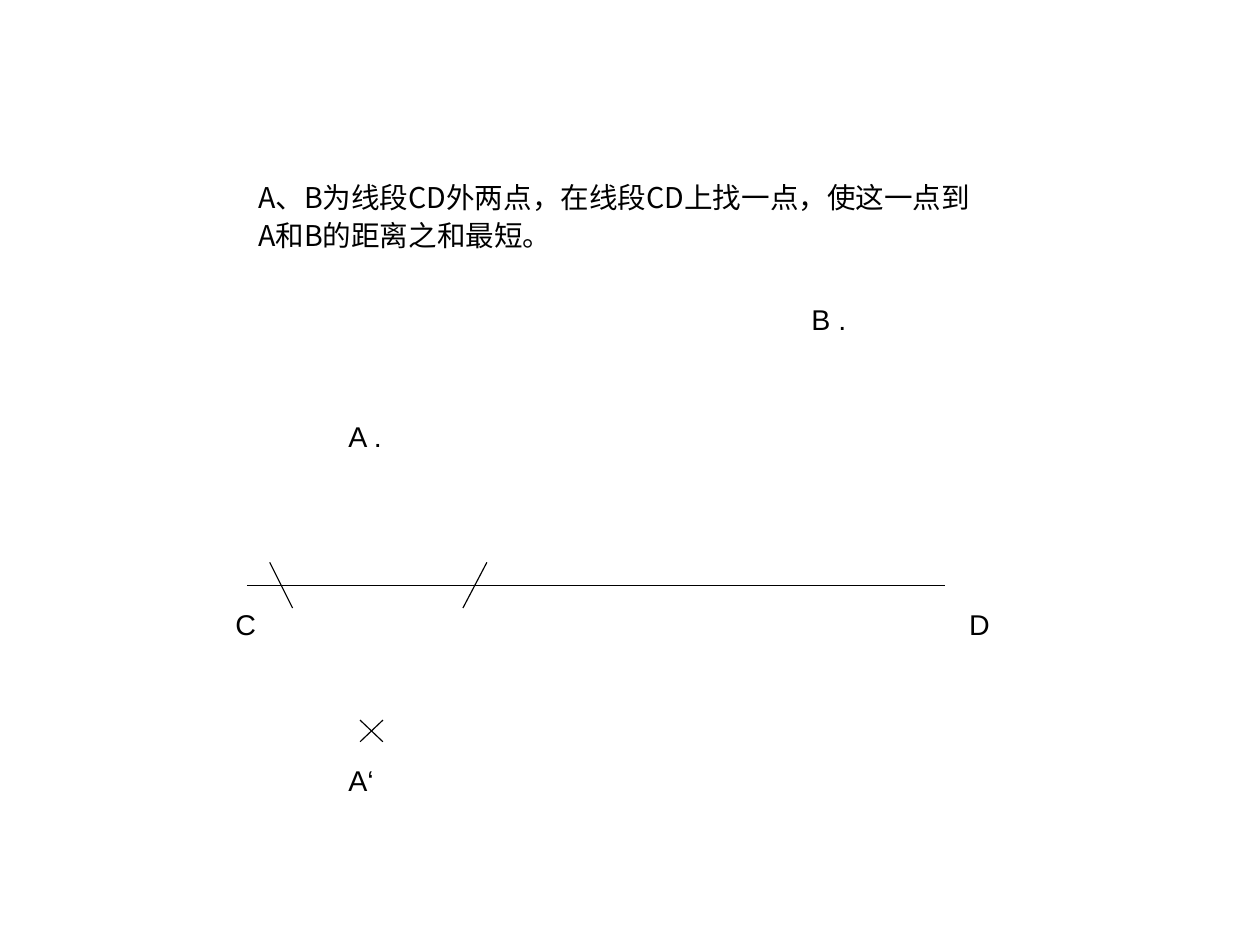
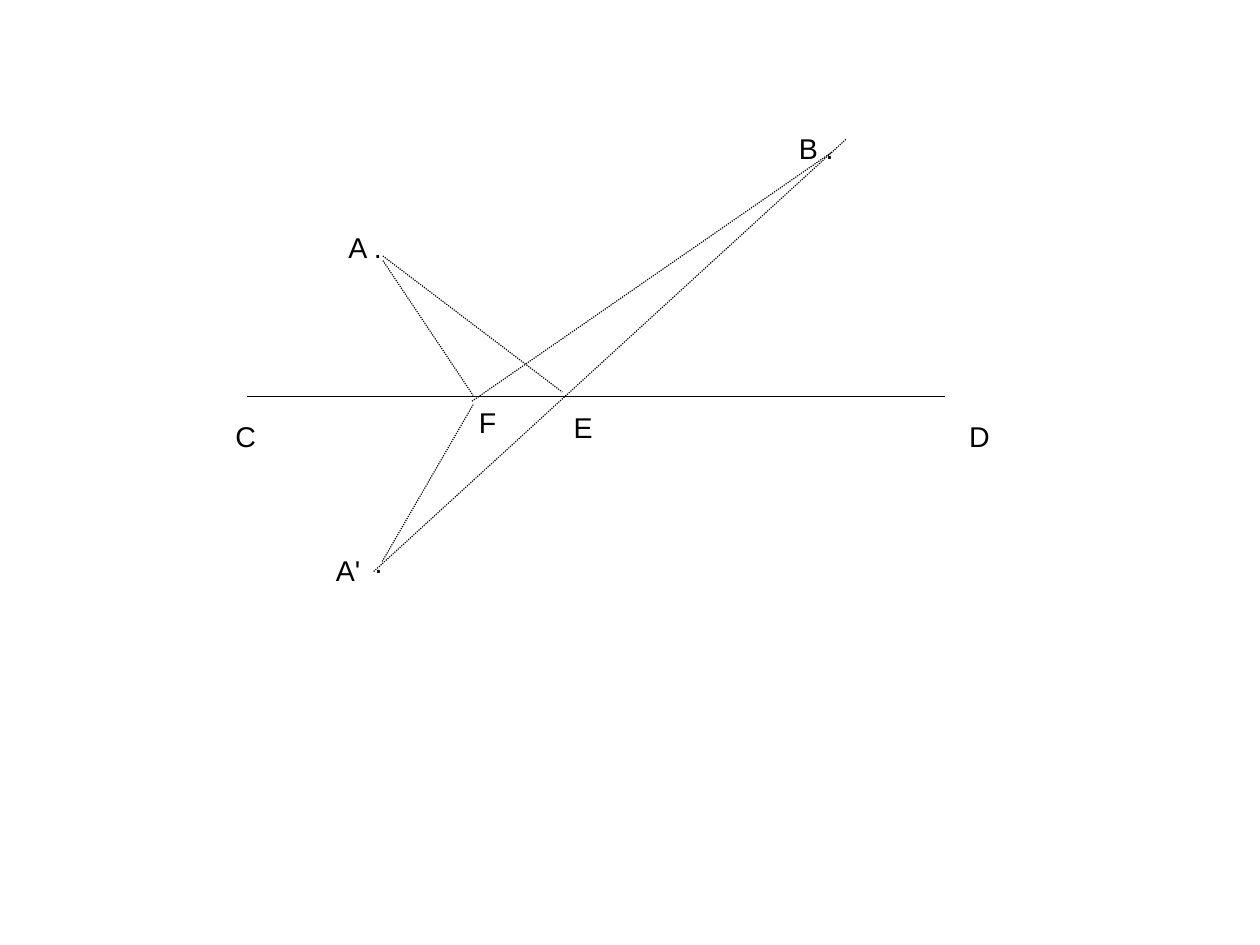
from dataclasses import dataclass

from lxml import etree
from pptx import Presentation
from pptx.dml.color import RGBColor
from pptx.enum import dml, shapes, text
from pptx.oxml import ns
from pptx.util import Inches, Pt


@dataclass(frozen=True)
class Theme:
    ink: RGBColor = RGBColor(0, 0, 0)
    label_font: str = "Arial"
    statement_font: str = "Noto Sans CJK SC"
    size: Pt = Pt(18)
    label_spacing: float = 0.93
    statement_spacing: Pt = Pt(24)
    line_width: Pt = Pt(0.75)


theme = Theme()


def add_text(page, lines, left, top, width, height=0.38, inset_top=0.07,
             font=theme.label_font, spacing=theme.label_spacing):
    box = page.shapes.add_textbox(Inches(left), Inches(top), Inches(width), Inches(height))
    frame = box.text_frame
    frame_format = {
        "word_wrap": False,
        "vertical_anchor": text.MSO_ANCHOR.TOP,
        "margin_left": Inches(0.1),
        "margin_right": Inches(0),
        "margin_top": Inches(inset_top),
        "margin_bottom": Inches(0.05),
    }
    for name, value in frame_format.items():
        setattr(frame, name, value)
    frame.text = "\n".join(lines)
    for para in frame.paragraphs:
        para.line_spacing = spacing
        for span in para.runs:
            for name, value in {"name": font, "size": theme.size}.items():
                setattr(span.font, name, value)
            span.font.color.rgb = theme.ink
            east_asian = etree.SubElement(span.font._element, ns.qn("a:ea"))
            east_asian.set("typeface", font)


def add_line(page, start, end, dash=None):
    line = page.shapes.add_connector(
        shapes.MSO_CONNECTOR.STRAIGHT, *[Inches(value) for value in (*start, *end)])
    line.line.color.rgb = theme.ink
    line.line.width = theme.line_width
    if dash:
        line.line.dash_style = dash
    etree.SubElement(line._element.spPr, ns.qn("a:effectLst"))


# Page of 280 by 210 millimetres
deck = Presentation()
deck.slide_width = Inches(280 / 25.4)
deck.slide_height = Inches(210 / 25.4)

# Segment CD and point A, shared by both slides
pages = []
for segment_y in (5.12, 3.47):
    page = deck.slides.add_slide(deck.slide_layouts[6])
    add_line(page, (2.16, segment_y), (8.27, segment_y))
    for label, left, offset, width in (("C", 1.96, 0.15, 0.38),
                                       ("D", 8.38, 0.15, 0.38),
                                       ("A .", 2.95, -1.5, 0.49)):
        add_text(page, [label], left, segment_y + offset, width)
    pages.append(page)
problem, solution = pages

# Problem: statement, remaining points and construction marks
add_text(problem,
         ["A、B为线段CD外两点，在线段CD上找一点，使这一点到", "A和B的距离之和最短。"],
         2.16, 1.49, 6.8, 0.74, 0.05, theme.statement_font, theme.statement_spacing)
add_text(problem, ["B ."], 7, 2.6, 0.5)
add_text(problem, ["A‘"], 2.95, 6.63, 0.42)
for start, end in (((2.36, 4.92), (2.56, 5.32)),
                   ((4.26, 4.92), (4.05, 5.32)),
                   ((3.35, 6.3), (3.15, 6.49)),
                   ((3.15, 6.3), (3.35, 6.49))):
    add_line(problem, start, end)

# Solution: remaining points
for label, left, top, width in (("B .", 6.89, 1.1, 0.5),
                                (".", 3.18, 4.72, 0.27),
                                ("A'", 2.84, 4.79, 0.41),
                                ("E", 4.92, 3.54, 0.36),
                                ("F", 4.09, 3.5, 0.35)):
    add_text(solution, [label], left, top, width)

# Solution: dotted paths through E and F
for start, end in (((3.27, 5), (7.4, 1.22)),
                   ((3.35, 2.24), (4.92, 3.43)),
                   ((3.35, 2.28), (4.14, 3.46)),
                   ((4.13, 3.51), (7.28, 1.33)),
                   ((4.14, 3.54), (3.34, 4.92))):
    add_line(solution, start, end, dml.MSO_LINE.ROUND_DOT)

deck.save("out.pptx")
